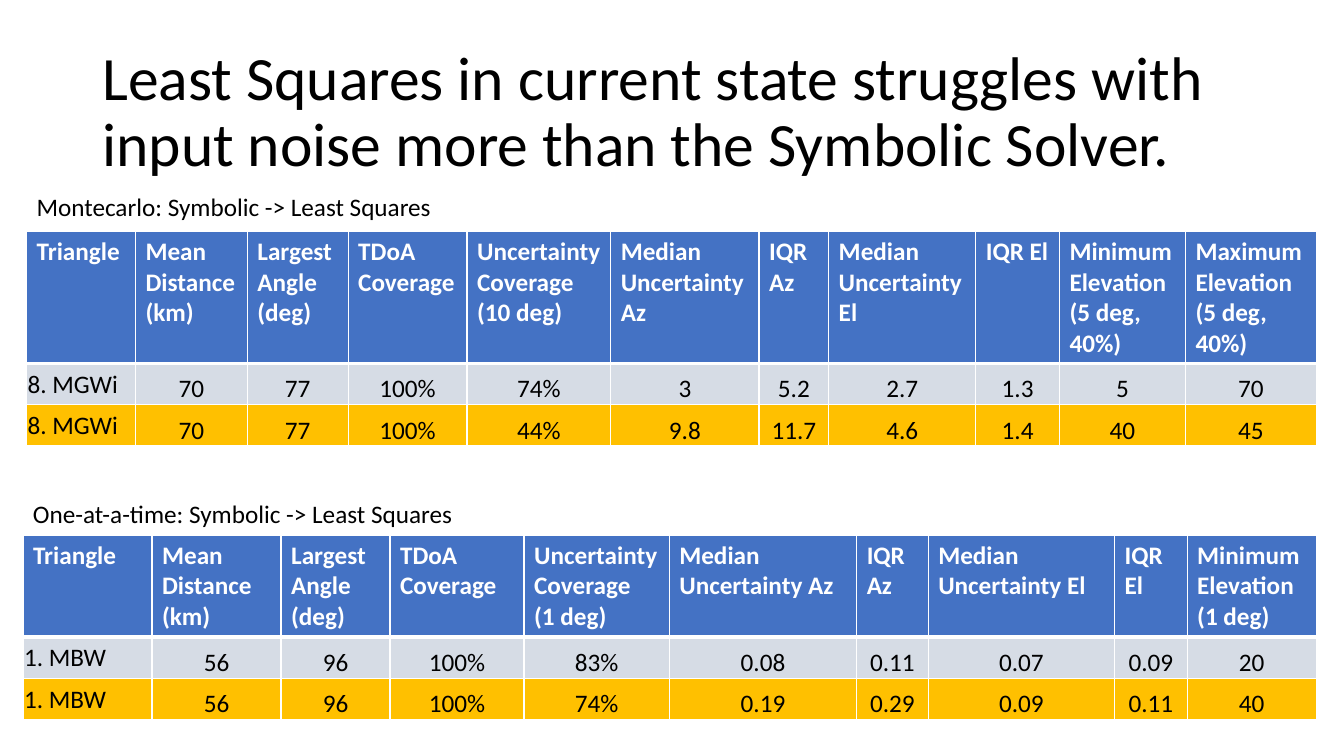
from lxml import etree
from pptx import Presentation
from pptx.dml import color
from pptx.enum import text
from pptx.oxml import ns
from pptx.util import Pt

WHITE, BLACK, BLUE, GREY, AMBER = "FFFFFF", "000000", "4472C4", "D6DCE5", "FFC000"
TOP, MIDDLE, BOTTOM = text.MSO_ANCHOR.TOP, text.MSO_ANCHOR.MIDDLE, text.MSO_ANCHOR.BOTTOM
LEFT, CENTER = text.PP_ALIGN.LEFT, text.PP_ALIGN.CENTER
BODY_HEIGHT = 29.4

MONTECARLO = [
    ["Triangle", "Mean Distance (km)", "Largest Angle (deg)", "TDoA Coverage",
     "Uncertainty Coverage\n(10 deg)", "Median Uncertainty Az", "IQR Az",
     "Median Uncertainty El", "IQR El", "Minimum Elevation (5 deg, 40%)",
     "Maximum Elevation (5 deg, 40%)"],
    ["8. MGWi", "70", "77", "100%", "74%", "3", "5.2", "2.7", "1.3", "5", "70"],
    ["8. MGWi", "70", "77", "100%", "44%", "9.8", "11.7", "4.6", "1.4", "40", "45"],
]
MONTECARLO_WIDTHS = [77.8, 79.9, 72, 85, 102.6, 106, 49.7, 105.1, 59.8, 90, 93.6]

ONE_AT_A_TIME = [
    ["Triangle", "Mean Distance (km)", "Largest Angle (deg)", "TDoA Coverage",
     "Uncertainty Coverage\n(1 deg)", "Median Uncertainty Az", "IQR Az",
     "Median Uncertainty El", "IQR El", "Minimum Elevation (1 deg)"],
    ["1. MBW", "56", "96", "100%", "83%", "0.08", "0.11", "0.07", "0.09", "20"],
    ["1. MBW", "56", "96", "100%", "74%", "0.19", "0.29", "0.09", "0.11", "40"],
]
ONE_AT_A_TIME_WIDTHS = [92.2, 92.2, 77.8, 95.8, 103.7, 133.9, 51.1, 133.2, 51.8, 92.2]


def rgb(value):
    """Turn a hex string into a colour."""
    return color.RGBColor.from_string(value)


def write(frame, words, size=18, ink=BLACK, bold=False, align=LEFT, spacing=1.0):
    """Fill a text frame with formatted paragraphs, one per line of words."""
    frame.word_wrap = True
    for index, line in enumerate(words.split("\n")):
        paragraph = frame.add_paragraph() if index else frame.paragraphs[0]
        paragraph.alignment = align
        paragraph.line_spacing = spacing
        run = paragraph.add_run()
        run.text = line
        run.font.name = "Calibri"
        run.font.size = Pt(size)
        run.font.bold = bold
        run.font.color.rgb = rgb(ink)


def add_label(slide, words, left, top, width, height, anchor=TOP, **style):
    """Add a text box."""
    box = slide.shapes.add_textbox(Pt(left), Pt(top), Pt(width), Pt(height))
    box.text_frame.vertical_anchor = anchor
    write(box.text_frame, words, **style)


def set_borders(cell, top=1, bottom=1):
    """Draw white borders of the given point widths around a cell."""
    properties = cell._tc.get_or_add_tcPr()
    edges = [("a:lnL", 1), ("a:lnR", 1), ("a:lnT", top), ("a:lnB", bottom)]
    for position, (tag, width) in enumerate(edges):
        line = etree.Element(ns.qn(tag), w=str(Pt(width)))
        fill = etree.SubElement(line, ns.qn("a:solidFill"))
        etree.SubElement(fill, ns.qn("a:srgbClr"), val=WHITE)
        properties.insert(position, line)


def fill_cell(cell, words, row, column):
    """Format one cell according to its place in the table."""
    cell.fill.solid()
    cell.fill.fore_color.rgb = rgb([BLUE, GREY, AMBER][row])
    set_borders(cell, top=3 if row == 1 else 1, bottom=3 if row == 0 else 1)
    if row == 0:
        write(cell.text_frame, words, ink=WHITE, bold=True)
        return
    cell.margin_left = cell.margin_right = cell.margin_top = Pt(0.75)
    cell.margin_bottom = Pt(0)
    cell.vertical_anchor = BOTTOM if column else MIDDLE
    write(cell.text_frame, words, align=CENTER if column else LEFT)


def add_results(slide, rows, widths, left, top, header_height):
    """Add a results table with a header and two solver rows."""
    heights = [header_height, BODY_HEIGHT, BODY_HEIGHT]
    table = slide.shapes.add_table(len(rows), len(widths), Pt(left), Pt(top),
                                   Pt(sum(widths)), Pt(sum(heights))).table
    for column, width in zip(table.columns, widths):
        column.width = Pt(width)
    for row, (height, values) in enumerate(zip(heights, rows)):
        table.rows[row].height = Pt(height)
        for column, value in enumerate(values):
            fill_cell(table.cell(row, column), value, row, column)


def main():
    """Build the slide and save it."""
    deck = Presentation()
    deck.slide_width, deck.slide_height = Pt(960), Pt(540)
    slide = deck.slides.add_slide(deck.slide_layouts[6])
    add_label(slide, "Least Squares in current state struggles with input noise "
              "more than the Symbolic Solver.", 66, 28.75, 828, 104.4,
              anchor=MIDDLE, size=44, spacing=0.9)
    add_results(slide, MONTECARLO, MONTECARLO_WIDTHS, 19, 165.2, 94.5)
    add_results(slide, ONE_AT_A_TIME, ONE_AT_A_TIME_WIDTHS, 16.4, 382.2, 73)
    add_label(slide, "Montecarlo: Symbolic -> Least Squares", 19, 133.2, 337, 29)
    add_label(slide, "One-at-a-time: Symbolic -> Least Squares", 16.4, 352.2, 337, 29)
    deck.save("out.pptx")


if __name__ == "__main__":
    main()
